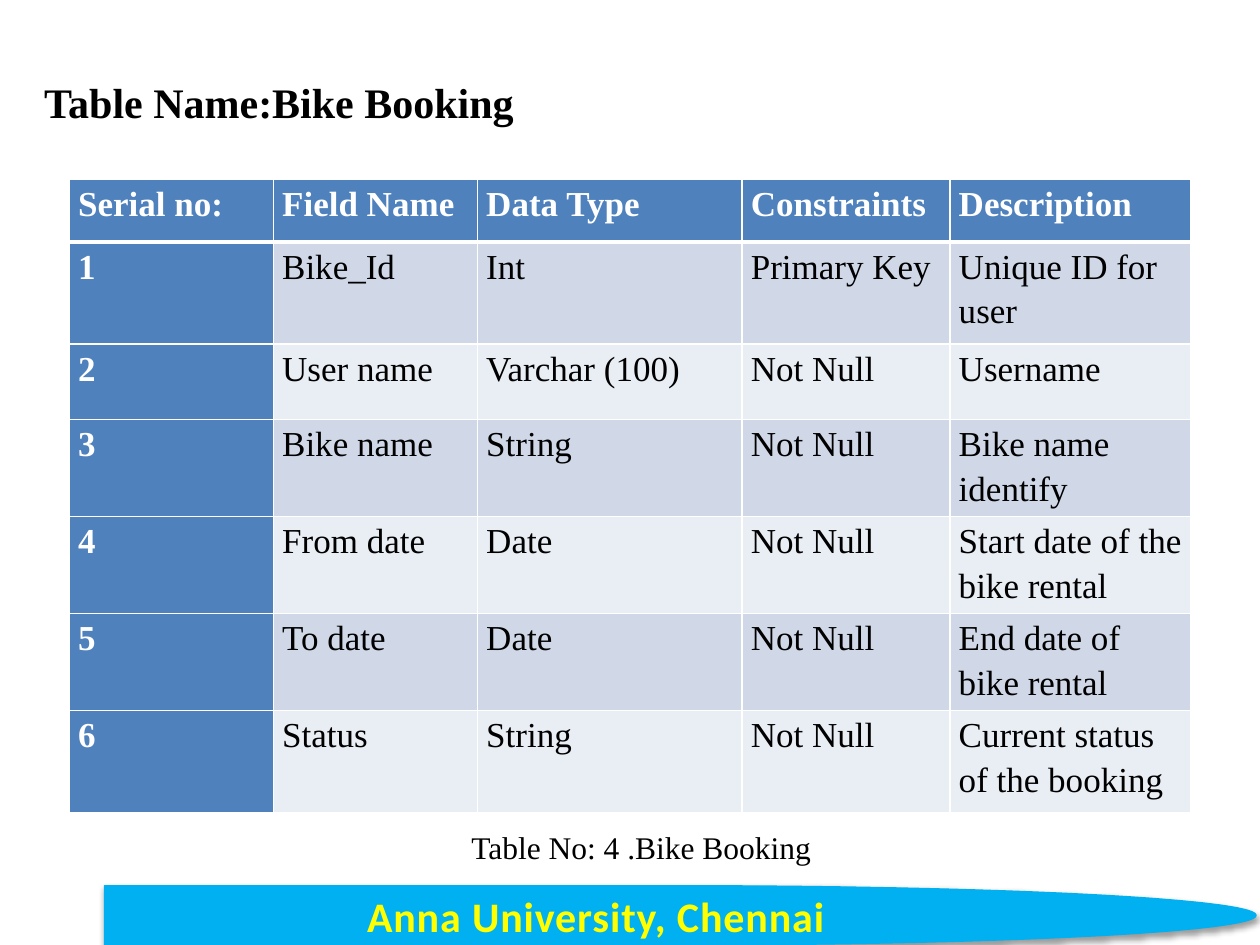
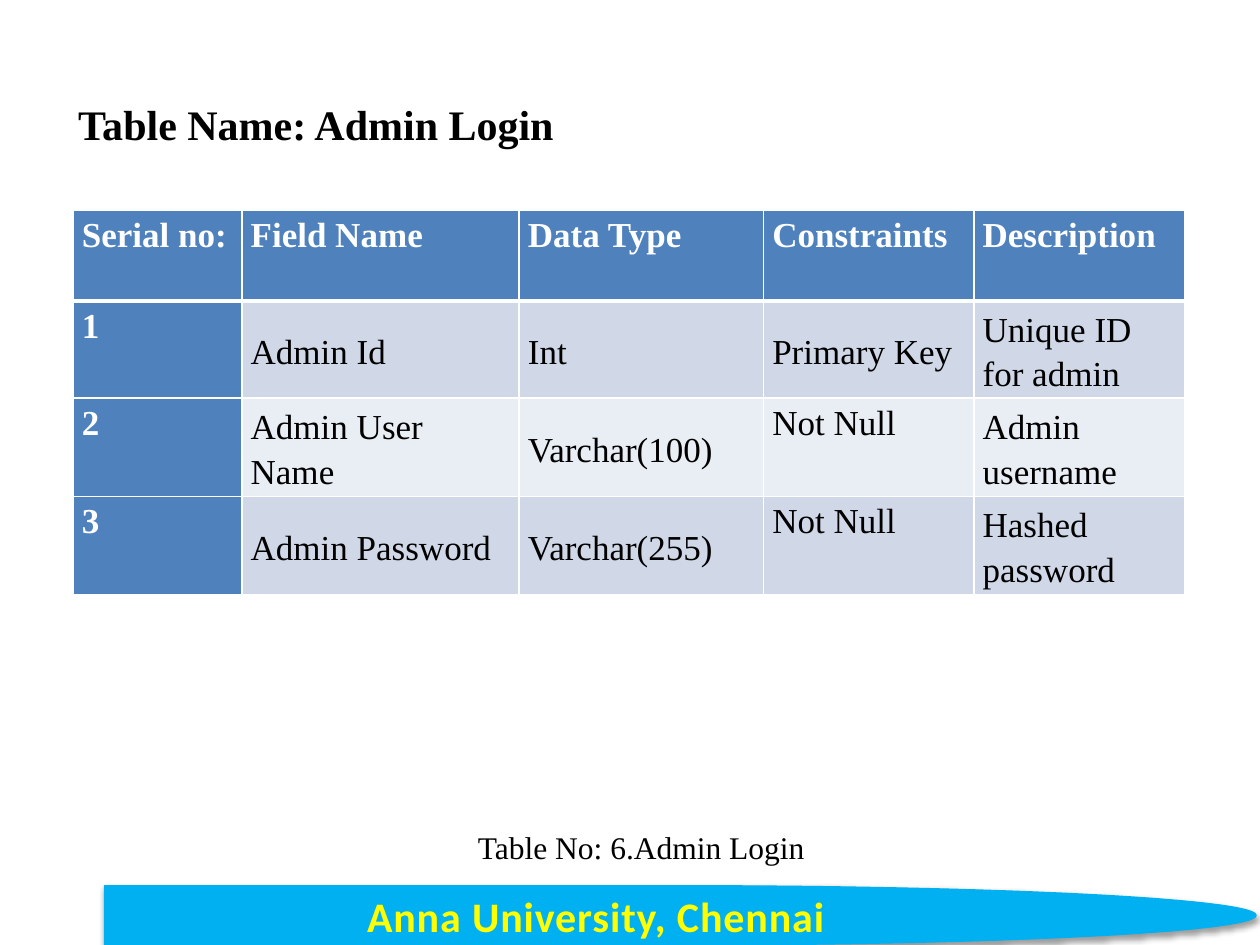
from dataclasses import dataclass

from lxml import etree
from pptx import Presentation
from pptx.dml.color import RGBColor
from pptx.enum import shapes, text
from pptx.oxml import parse_xml
from pptx.oxml.ns import nsdecls, qn
from pptx.util import Inches, Pt

# Shared look
WHITE, BLACK, YELLOW = "FFFFFF", "000000", "FFFF00"
HEADER_BLUE, BAND_DARK, BAND_LIGHT = "4F81BD", "D0D8E8", "E9EDF4"
FOOTER_BLUE, FOOTER_OUTLINE = "00B0F0", "E78738"
SERIF, SANS = "Times New Roman", "Calibri"
UNIVERSITY = "Anna University, Chennai"
HEADINGS = ("Serial no:", "Field Name", "Data Type", "Constraints", "Description")
TITLE_ONLY = 5


@dataclass(frozen=True)
class SchemaSlide:
    title: str
    title_at: tuple[float, float, float, float]
    title_spacing: float
    caption: str
    table_at: tuple[float, float]
    columns: tuple[float, ...]
    rows: tuple[float, ...]
    fields: tuple[tuple[str, ...], ...]
    space_after: float = 0
    centred: bool = False


SCHEMAS = (
    SchemaSlide(
        title="Table Name:Bike Booking",
        title_at=(0.25, 0.56, 5, 0.5),
        title_spacing=1,
        caption="Table No: 4 .Bike Booking",
        table_at=(0.55, 1.42),
        columns=(1.62, 1.62, 2.1, 1.65, 1.91),
        rows=(0.5, 0.81, 0.6, 0.77, 0.77, 0.77, 0.81),
        fields=(
            ("Bike_Id", "Int", "Primary Key", "Unique ID for user"),
            ("User name", "Varchar (100)", "Not Null", "Username"),
            ("Bike name", "String", "Not Null", "Bike name identify"),
            ("From date", "Date", "Not Null", "Start date of the bike rental"),
            ("To date", "Date", "Not Null", "End date of bike rental"),
            ("Status", "String", "Not Null", "Current status of the booking"),
        ),
        space_after=10,
    ),
    SchemaSlide(
        title="Table Name: Admin Login",
        title_at=(0.52, 0.67, 5, 0.57),
        title_spacing=1.15,
        caption="Table No: 6.Admin Login",
        table_at=(0.58, 1.67),
        columns=(1.34, 2.2, 1.94, 1.67, 1.67),
        rows=(0.72, 0.77, 0.78, 0.78),
        fields=(
            ("Admin Id", "Int", "Primary Key", "Unique ID for admin"),
            ("Admin User Name", "Varchar(100)", "Not Null", "Admin username"),
            ("Admin Password", "Varchar(255)", "Not Null", "Hashed password"),
        ),
        centred=True,
    ),
)


def colour(code: str) -> RGBColor:
    return RGBColor.from_string(code)


def write(frame, words: str, *, size: float, font: str = SERIF, ink: str = BLACK,
          bold: bool = False, align=text.PP_ALIGN.LEFT, anchor=text.MSO_ANCHOR.TOP,
          spacing: float = 1, after: float = 0):
    """Fill a text frame with one formatted paragraph and return its run."""
    frame.word_wrap = True
    frame.vertical_anchor = anchor
    paragraph = frame.paragraphs[0]
    paragraph.alignment = align
    paragraph.line_spacing = spacing
    paragraph.space_before = Pt(0)
    paragraph.space_after = Pt(after)
    run = paragraph.add_run()
    run.text = words
    run.font.size, run.font.name, run.font.bold = Pt(size), font, bold
    run.font.color.rgb = colour(ink)
    return run


def line_xml(tag: str, code: str, points: float) -> etree._Element:
    return parse_xml(
        f'<a:{tag} {nsdecls("a")} w="{Pt(points)}"><a:solidFill>'
        f'<a:srgbClr val="{code}"/></a:solidFill></a:{tag}>')


def add_title(slide, schema: SchemaSlide) -> None:
    title = slide.shapes.title
    title.left, title.top, title.width, title.height = map(Inches, schema.title_at)
    title.text_frame.auto_size = text.MSO_AUTO_SIZE.NONE
    write(title.text_frame, schema.title, size=24, bold=True,
          spacing=schema.title_spacing)


def add_caption(slide, words: str) -> None:
    caption = slide.shapes.add_textbox(Inches(2.58), Inches(6.52), Inches(5.02), Inches(0.4))
    write(caption.text_frame, words, size=18, align=text.PP_ALIGN.CENTER)


def add_footer(slide) -> None:
    band = slide.shapes.add_shape(shapes.MSO_SHAPE.FLOWCHART_DELAY, Inches(0.83),
                                  Inches(7.03), Inches(9.14), Inches(0.47))
    band.fill.solid()
    band.fill.fore_color.rgb = colour(FOOTER_BLUE)
    band.line.color.rgb = colour(FOOTER_BLUE)
    band.line.width = Pt(0.75)
    # Soft shadow below the band
    band.shadow.inherit = False
    effects = band._element.spPr.find(qn("a:effectLst"))
    effects.append(parse_xml(
        f'<a:outerShdw {nsdecls("a")} blurRad="{Pt(3.1)}" dist="{Pt(1.6)}" dir="5400000" '
        f'rotWithShape="0"><a:srgbClr val="{BLACK}"><a:alpha val="38000"/></a:srgbClr>'
        '</a:outerShdw>'))
    # Outlined, slightly spaced lettering
    name = write(band.text_frame, UNIVERSITY, size=24, font=SANS, ink=YELLOW, bold=True,
                 align=text.PP_ALIGN.CENTER, anchor=text.MSO_ANCHOR.MIDDLE)
    letters = name.font._element
    letters.set("spc", "50")
    letters.insert(0, line_xml("ln", FOOTER_OUTLINE, 1))


def style_cell(cell, row: int, column: int) -> None:
    cell.margin_left = cell.margin_right = Inches(0.07)
    cell.margin_top = cell.margin_bottom = 0
    band = BAND_DARK if row % 2 else BAND_LIGHT
    cell.fill.solid()
    cell.fill.fore_color.rgb = colour(HEADER_BLUE if row == 0 or column == 0 else band)
    # White grid, with a heavier rule under the header
    widths = {"lnL": 1, "lnR": 1, "lnT": 3 if row == 1 else 1, "lnB": 3 if row == 0 else 1}
    for place, (side, points) in enumerate(widths.items()):
        cell._tc.get_or_add_tcPr().insert(place, line_xml(side, WHITE, points))


def add_schema_table(slide, schema: SchemaSlide) -> None:
    numbered = [(str(n), *field) for n, field in enumerate(schema.fields, 1)]
    records = [HEADINGS, *numbered]
    left, top = schema.table_at
    table = slide.shapes.add_table(
        len(records), len(HEADINGS), Inches(left), Inches(top),
        Inches(sum(schema.columns)), Inches(sum(schema.rows))).table
    table.horz_banding = False
    for column, width in zip(table.columns, schema.columns):
        column.width = Inches(width)
    for row, height in zip(table.rows, schema.rows):
        row.height = Inches(height)

    for r, record in enumerate(records):
        for c, words in enumerate(record):
            cell = table.cell(r, c)
            style_cell(cell, r, c)
            heading = r == 0 or c == 0
            middle = schema.centred and not heading and words != "Not Null"
            write(cell.text_frame, words, size=20, bold=heading,
                  ink=WHITE if heading else BLACK, spacing=1.15,
                  after=10 if r == 0 else schema.space_after)
            cell.vertical_anchor = (text.MSO_ANCHOR.MIDDLE if middle
                                    else text.MSO_ANCHOR.TOP)


def main() -> None:
    deck = Presentation()
    deck.slide_width, deck.slide_height = Inches(10), Inches(7.5)
    for schema in SCHEMAS:
        slide = deck.slides.add_slide(deck.slide_layouts[TITLE_ONLY])
        add_title(slide, schema)
        add_footer(slide)
        add_caption(slide, schema.caption)
        add_schema_table(slide, schema)
    deck.save("out.pptx")


if __name__ == "__main__":
    main()
